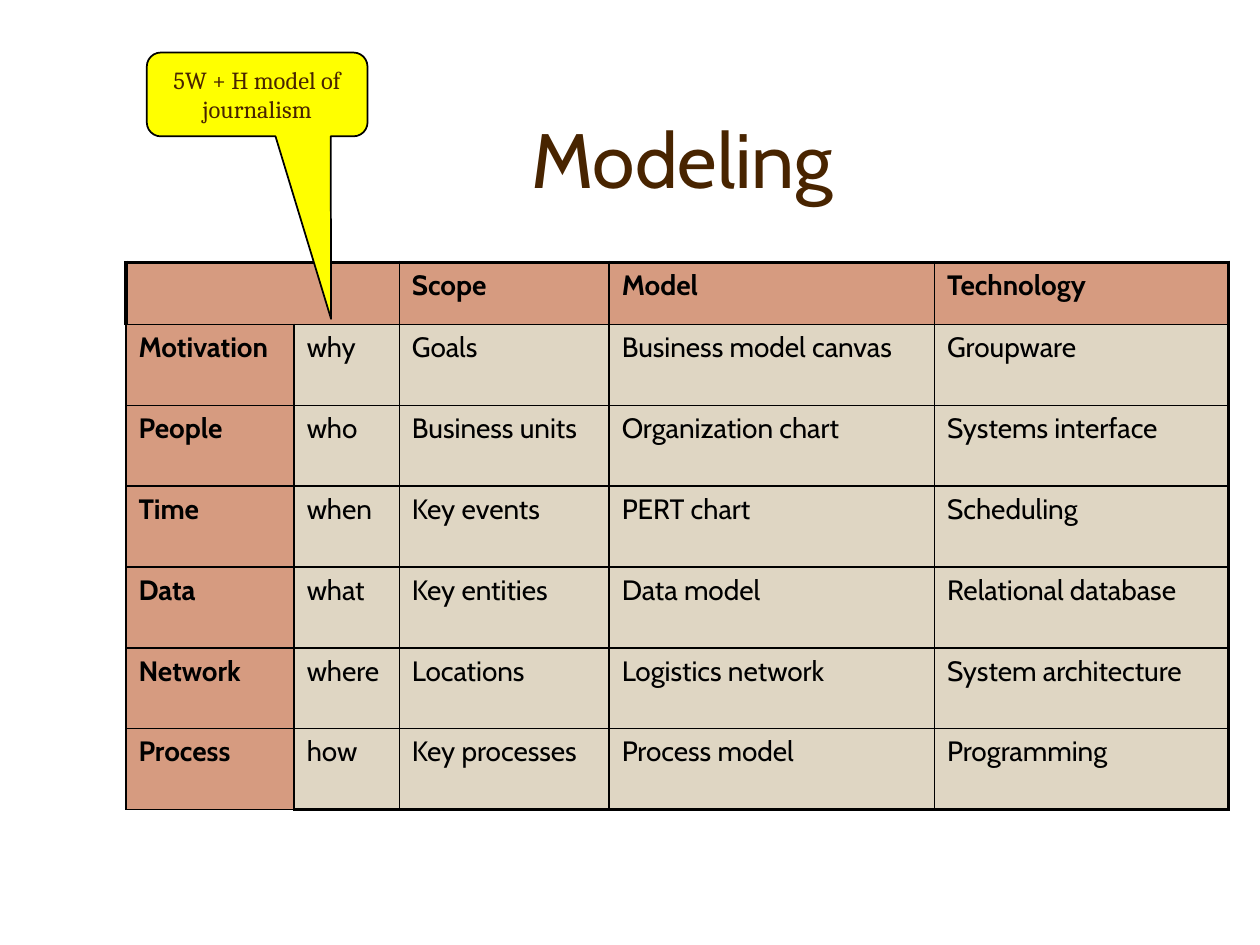
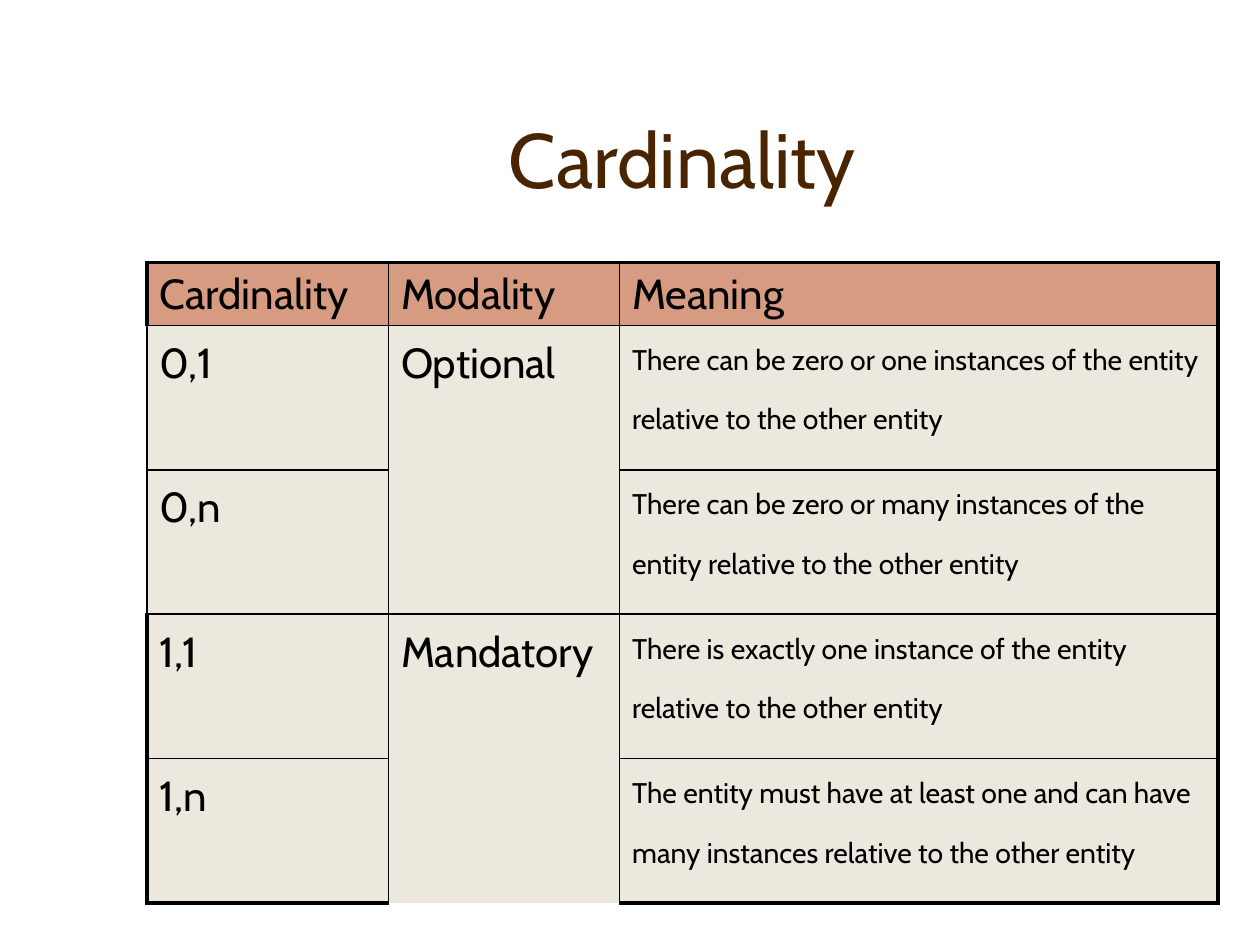
from dataclasses import dataclass

from lxml.etree import SubElement
from pptx import Presentation
from pptx.dml.color import RGBColor as Color
from pptx.enum.shapes import MSO_SHAPE as Preset
from pptx.enum.text import MSO_ANCHOR as Anchor, PP_ALIGN as Align
from pptx.oxml.ns import qn
from pptx.util import Cm, Pt


@dataclass(frozen=True)
class Theme:
    title: Color = Color(0x48, 0x24, 0x00)
    ink: Color = Color(0x00, 0x00, 0x00)
    header: Color = Color(0xD6, 0x9B, 0x80)
    model_body: Color = Color(0xDF, 0xD6, 0xC3)
    cardinality_body: Color = Color(0xEC, 0xE8, 0xDE)
    callout: Color = Color(0xFF, 0xFF, 0x00)
    font: str = "Cabin"
    callout_font: str = "Cambria"
    title_size: Pt = Pt(44)
    model_size: Pt = Pt(16)
    cardinality_size: Pt = Pt(24)
    meaning_size: Pt = Pt(28)
    callout_size: Pt = Pt(14)
    thin: Pt = Pt(1)
    thick: Pt = Pt(2.25)


theme = Theme()


def write(frame, text, size, color, font=theme.font, bold=False, align=Align.LEFT):
    frame.word_wrap = True
    paragraph = frame.paragraphs[0]
    paragraph.text = text
    paragraph.alignment = align
    paragraph.font.name = font
    paragraph.font.size = size
    paragraph.font.bold = bold
    paragraph.font.color.rgb = color
    return paragraph


def add_ruled_table(slide, left, widths, heights, merges, thick_left_rows, thick_bottom_from):
    last_row, last_column = len(heights) - 1, len(widths) - 1
    table = slide.shapes.add_table(
        len(heights), len(widths), Cm(left), Cm(5.29), Cm(sum(widths)), Cm(sum(heights))
    ).table
    table.first_row = table.horz_banding = False
    for column, width in zip(table.columns, widths):
        column.width = Cm(width)
    for row, height in zip(table.rows, heights):
        row.height = Cm(height)

    inner_edges = set()
    for first, second in merges:
        table.cell(*first).merge(table.cell(*second))
        sides = "RL" if first[0] == second[0] else "BT"
        inner_edges |= {(*first, sides[0]), (*second, sides[1])}

    for row in range(last_row + 1):
        for column in range(last_column + 1):
            properties = table.cell(row, column)._tc.get_or_add_tcPr()
            thick = {
                "L": column == 0 and row in thick_left_rows,
                "R": column == last_column,
                "T": row == 0,
                "B": row == last_row and column >= thick_bottom_from,
            }
            for side, is_thick in thick.items():
                line = SubElement(properties, qn(f"a:ln{side}"))
                if (row, column, side) in inner_edges:
                    SubElement(line, qn("a:noFill"))
                    continue
                line.set("w", str(int(theme.thick if is_thick else theme.thin)))
                fill = SubElement(line, qn("a:solidFill"))
                SubElement(fill, qn("a:srgbClr")).set("val", str(theme.ink))
    return table


presentation = Presentation()
presentation.slide_width, presentation.slide_height = Cm(25.4), Cm(19.05)

slides = []
for title in ("Modeling", "Cardinality"):
    slide = presentation.slides.add_slide(presentation.slide_layouts[6])
    title_frame = slide.shapes.add_textbox(Cm(2.96), Cm(1.06), Cm(21.59), Cm(3.18)).text_frame
    title_frame.vertical_anchor = Anchor.BOTTOM
    write(title_frame, title, theme.title_size, theme.title, align=Align.CENTER)
    slides.append(slide)
modeling, cardinality = slides

model_rows = [
    ("", "", "Scope", "Model", "Technology"),
    ("Motivation", "why", "Goals", "Business model canvas", "Groupware"),
    ("People", "who", "Business units", "Organization chart", "Systems interface"),
    ("Time", "when", "Key events", "PERT chart", "Scheduling"),
    ("Data", "what", "Key entities", "Data model", "Relational database"),
    ("Network", "where", "Locations", "Logistics network", "System architecture"),
    ("Process", "how", "Key processes", "Process model", "Programming"),
]
model_table = add_ruled_table(
    modeling,
    left=2.54,
    widths=[3.39, 2.12, 4.23, 6.56, 5.93],
    heights=[1.25] + [1.63] * 6,
    merges=[((0, 0), (0, 1))],
    thick_left_rows={0},
    thick_bottom_from=1,
)
for row, texts in enumerate(model_rows):
    for column, text in enumerate(texts):
        cell = model_table.cell(row, column)
        is_header = row == 0 or column == 0
        cell.fill.solid()
        cell.fill.fore_color.rgb = theme.header if is_header else theme.model_body
        if text:
            write(cell.text_frame, text, theme.model_size, theme.ink, bold=is_header)

callout = modeling.shapes.add_shape(
    Preset.ROUNDED_RECTANGULAR_CALLOUT, Cm(2.96), Cm(1.06), Cm(4.45), Cm(1.69)
)
for index, adjustment in enumerate((0.335, 2.677, 0.167)):
    callout.adjustments[index] = adjustment
callout.shadow.inherit = False
callout.fill.solid()
callout.fill.fore_color.rgb = theme.callout
callout.line.color.rgb = theme.ink
callout.line.width = theme.thin
callout.text_frame.vertical_anchor = Anchor.MIDDLE
write(callout.text_frame, "5W + H model of journalism", theme.callout_size, theme.title,
      font=theme.callout_font, align=Align.CENTER)

cardinality_rows = [
    ("Cardinality", "Modality", "Meaning"),
    ("0,1", "Optional",
     "There can be zero or one instances of the entity relative to the other entity"),
    ("0,n", "",
     "There can be zero or many instances of the entity relative to the other entity"),
    ("1,1", "Mandatory",
     "There is exactly one instance of the entity relative to the other entity"),
    ("1,n", "",
     "The entity must have at least one and can have many instances relative to the other entity"),
]
cardinality_table = add_ruled_table(
    cardinality,
    left=2.96,
    widths=[4.87, 4.66, 12.06],
    heights=[1.25] + [2.91] * 4,
    merges=[((1, 1), (2, 1)), ((3, 1), (4, 1))],
    thick_left_rows={0, 3, 4},
    thick_bottom_from=0,
)
for row, texts in enumerate(cardinality_rows):
    for column, text in enumerate(texts):
        cell = cardinality_table.cell(row, column)
        is_meaning = row > 0 and column == 2
        cell.fill.solid()
        cell.fill.fore_color.rgb = theme.cardinality_body if row else theme.header
        if row:
            cell.margin_top = cell.margin_bottom = Cm(0.25)
        if text:
            size = theme.meaning_size if is_meaning else theme.cardinality_size
            paragraph = write(cell.text_frame, text, size, theme.ink)
            if is_meaning:
                paragraph.runs[0]._r.get_or_add_rPr().set("baseline", "30000")

presentation.save("out.pptx")
